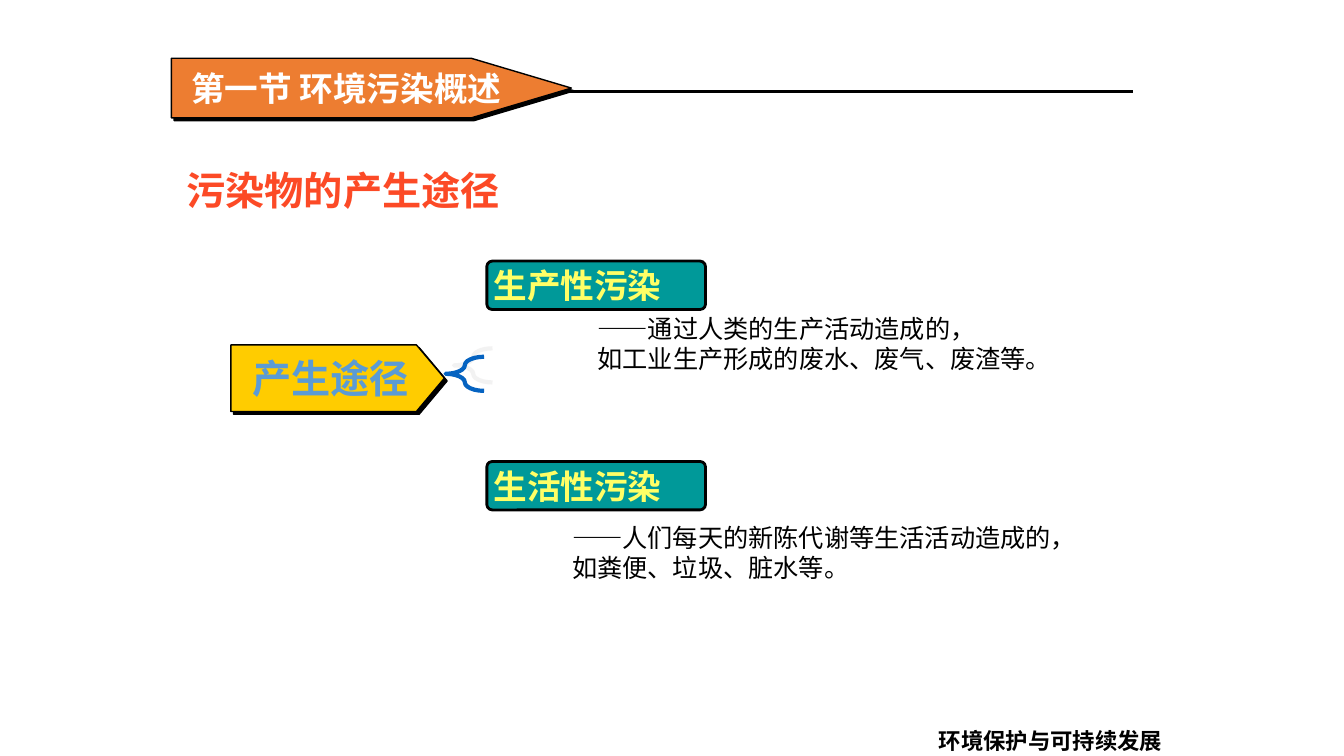
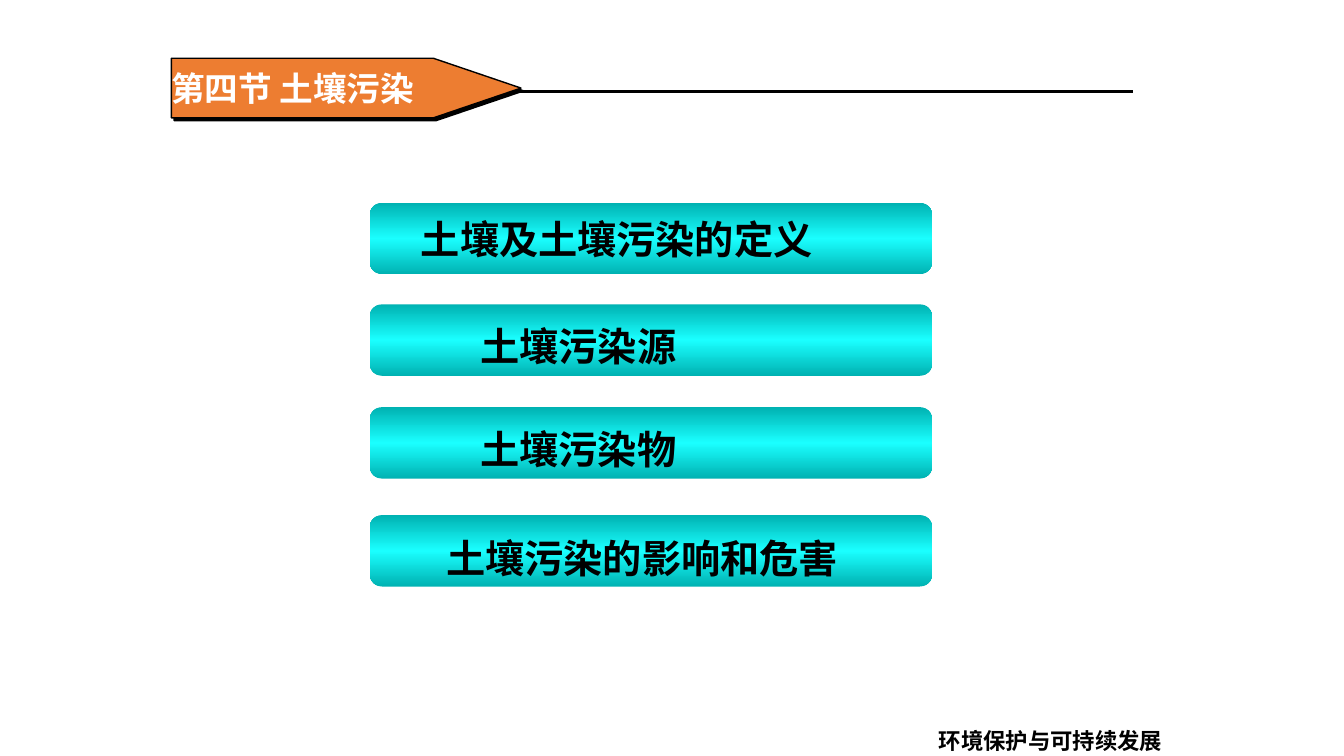
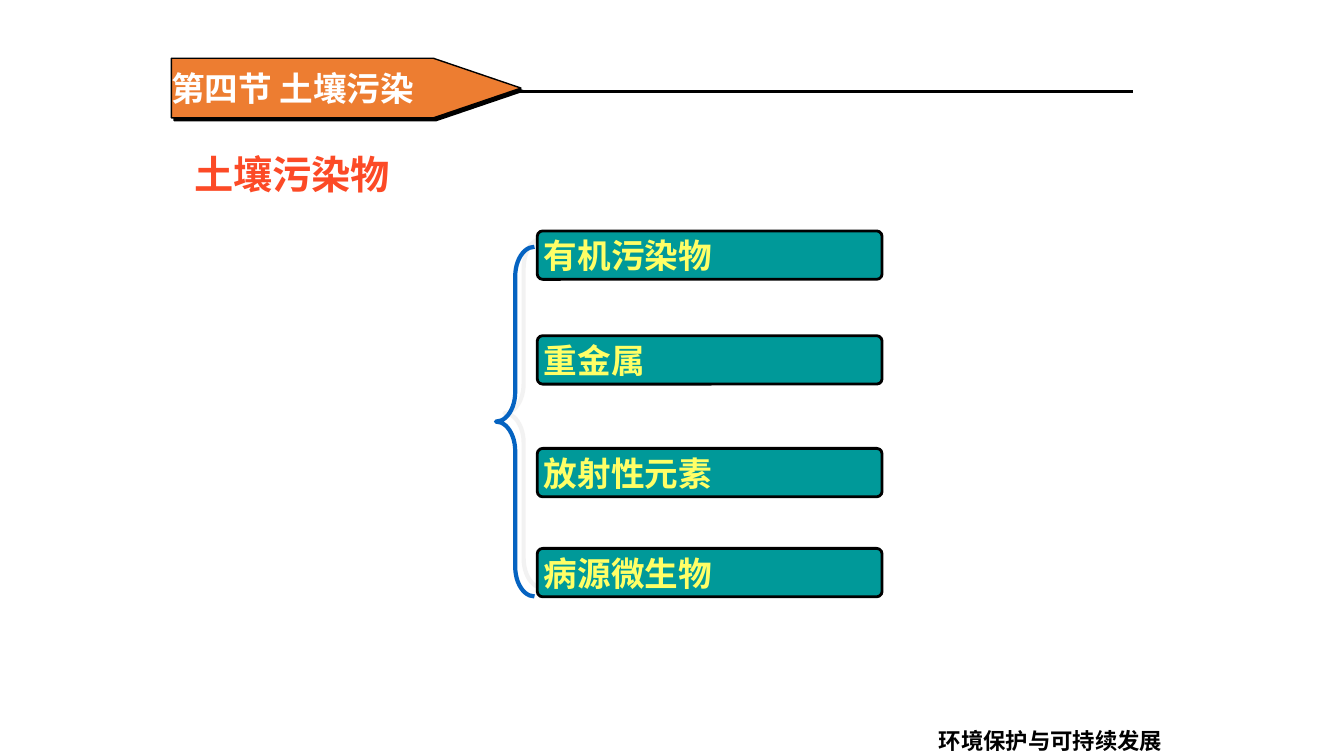
from copy import deepcopy
from lxml import etree
from pptx import Presentation
from pptx.dml.color import RGBColor
from pptx.enum.shapes import MSO_CONNECTOR, MSO_SHAPE
from pptx.enum.text import MSO_ANCHOR, PP_ALIGN
from pptx.oxml.ns import qn
from pptx.util import Cm, Pt

PENTAGON, BRACE, ROUNDED = MSO_SHAPE.PENTAGON, MSO_SHAPE.LEFT_BRACE, MSO_SHAPE.ROUNDED_RECTANGLE
LEFT, CENTER, RIGHT = PP_ALIGN.LEFT, PP_ALIGN.CENTER, PP_ALIGN.RIGHT
TOP, MIDDLE = MSO_ANCHOR.TOP, MSO_ANCHOR.MIDDLE
BLACK = RGBColor(0x00, 0x00, 0x00)
WHITE = RGBColor(0xFF, 0xFF, 0xFF)
ORANGE = RGBColor(0xED, 0x7D, 0x31)
RED = RGBColor(0xFC, 0x4A, 0x26)
GOLD = RGBColor(0xFF, 0xCC, 0x00)
BLUE = RGBColor(0x5B, 0x9B, 0xD5)
DEEP_BLUE = RGBColor(0x05, 0x63, 0xC1)
GREY = RGBColor(0xE7, 0xE6, 0xE6)
TEAL = RGBColor(0x00, 0x99, 0x99)
YELLOW = RGBColor(0xFF, 0xFF, 0x66)
CYAN = RGBColor(0x1A, 0xFF, 0xFF)
DARK_CYAN = RGBColor(0x00, 0xB2, 0xB2)
FONT = "Noto Sans CJK SC"


def write(sp, lines, size, color, bold=True, align=LEFT, anchor=MIDDLE, spacing=None, margin=0.25, font=FONT):
    tf = sp.text_frame
    tf.word_wrap = True
    tf.vertical_anchor = anchor
    tf.margin_left = tf.margin_right = Cm(margin)
    for i, line in enumerate(lines):
        p = tf.add_paragraph() if i else tf.paragraphs[0]
        for part in line:
            p.add_run().text = part
        p.alignment = align
        if spacing:
            p.line_spacing = spacing
        f = p.font
        f.name, f.size, f.bold = font, Pt(size), bold
        f.color.rgb = color
        etree.SubElement(f._rPr, qn("a:ea"), typeface=FONT)


def draw(s, kind, box, adj, fill=None, line=None, width=1, shadow=None):
    sp = s.shapes.add_shape(kind, *map(Cm, box))
    sp.adjustments[0] = adj
    sp.shadow.inherit = False
    if fill is None:
        sp.fill.background()
    else:
        sp.fill.solid()
        sp.fill.fore_color.rgb = fill
    if line is None:
        sp.line.fill.background()
    else:
        sp.line.color.rgb = line
        sp.line.width = Pt(width)
    if shadow:
        color, alpha, dist, angle = shadow
        effects = sp._element.spPr.find(qn("a:effectLst"))
        outer = etree.SubElement(effects, qn("a:outerShdw"), dist=str(Pt(dist)),
                                 dir=str(angle * 60000), algn="ctr", rotWithShape="0")
        clr = etree.SubElement(outer, qn("a:srgbClr"), val=str(color))
        etree.SubElement(clr, qn("a:alpha"), val=str(alpha * 1000))
    return sp


PLATE_SHADOW = (BLACK, 100, 2.8, 45)
BRACE_SHADOW = (GREY, 50, 8.5, 315)

prs = Presentation()
prs.slide_width, prs.slide_height = Cm(33.87), Cm(19.05)

sections = [
    ("第一节 环境污染概述", 10.08, 1.68, CENTER),
    ("第四节 土壤污染", 8.81, 1.47, LEFT),
    ("第四节 土壤污染", 8.81, 1.47, LEFT),
]
for title, width, adj, align in sections:
    s = prs.slides.add_slide(prs.slide_layouts[6])
    rule = s.shapes.add_connector(MSO_CONNECTOR.STRAIGHT, Cm(5.31), Cm(2.31), Cm(28.55), Cm(2.31))
    rule.line.color.rgb = BLACK
    rule.line.width = Pt(2.25)
    etree.SubElement(rule._element.spPr, qn("a:effectLst"))
    footer = s.shapes.add_textbox(Cm(21.49), Cm(18.21), Cm(8.05), Cm(0.84))
    write(footer, [["环境保护与可持续发展"]], 16, BLACK, align=RIGHT, anchor=TOP, font="DejaVu Sans")
    sp = draw(s, PENTAGON, (4.32, 1.47, width, 1.5), adj, ORANGE, BLACK, shadow=PLATE_SHADOW)
    write(sp, [[title]], 24, WHITE, align=align, margin=0)

sources, topics, pollutants = prs.slides

for s, text, x, y, w in [
    (sources, "污染物的产生途径", 4.45, 3.45, 11),
    (pollutants, "土壤污染物", 4.65, 3.05, 9.88),
]:
    sp = s.shapes.add_textbox(Cm(x), Cm(y), Cm(w), Cm(2.06))
    write(sp, [[text]], 28, RED, spacing=1.5)

sp = draw(sources, PENTAGON, (5.82, 8.69, 5.38, 1.68), 0.42, GOLD, BLACK, shadow=PLATE_SHADOW)
write(sp, [["产生途径"]], 28, BLUE, align=CENTER, margin=0, font="Arial")

for s, box, adj in [
    (sources, (11.23, 8.99, 0.97, 0.86), 0.5),
    (pollutants, (12.5, 6.22, 0.97, 8.81), 0.77),
]:
    draw(s, BRACE, box, adj, line=DEEP_BLUE, width=3, shadow=BRACE_SHADOW)

for s, x, w, labels in [
    (sources, 12.27, 5.51, [("生产性污染", 6.58), ("生活性污染", 11.63)]),
    (pollutants, 13.54, 8.69, [("有机污染物", 5.82), ("重金属", 8.46),
                               ("放射性元素", 11.3), ("病源微生物", 13.82)]),
]:
    for text, y in labels:
        sp = draw(s, ROUNDED, (x, y, w, 1.22), 0.11, TEAL, BLACK, 2)
        write(sp, [[text]], 24, YELLOW, margin=0.13)

for x, y, w, first, second in [
    (14.81, 7.75, 12.19, "通过人类的生产活动造成的，", "如工业生产形成的废水、废气、废渣等。"),
    (14.17, 13.03, 14.38, "人们每天的新陈代谢等生活活动造成的，", "如粪便、垃圾、脏水等。"),
]:
    sp = sources.shapes.add_textbox(Cm(x), Cm(y), Cm(w), Cm(1.8))
    write(sp, [["——", first], [second]], 18, BLACK, bold=False)
    sp.text_frame.paragraphs[0].runs[0].font.name = "Arial"

for text, bar_y, x, y, w in [
    ("土壤及土壤污染的定义", 5.11, 10.36, 4.7, 12.27),
    ("土壤污染源", 7.67, 11.86, 7.39, 9.88),
    ("土壤污染物", 10.26, 11.86, 9.98, 9.58),
    ("土壤污染的影响和危害", 12.98, 11, 12.73, 11.23),
]:
    bar = draw(topics, ROUNDED, (9.32, bar_y, 14.17, 1.8), 0.17)
    bar.fill.gradient()
    bar.fill.gradient_angle = 90
    stops = bar.fill.gradient_stops
    stops[0]._gs.addnext(deepcopy(stops[0]._gs))
    for stop, position, color in zip(stops, (0, 0.5, 1), (DARK_CYAN, CYAN, DARK_CYAN)):
        stop.position = position
        stop.color.rgb = color
    sp = topics.shapes.add_textbox(Cm(x), Cm(y), Cm(w), Cm(2.06))
    write(sp, [[text]], 28, BLACK, spacing=1.5)

prs.save("out.pptx")
